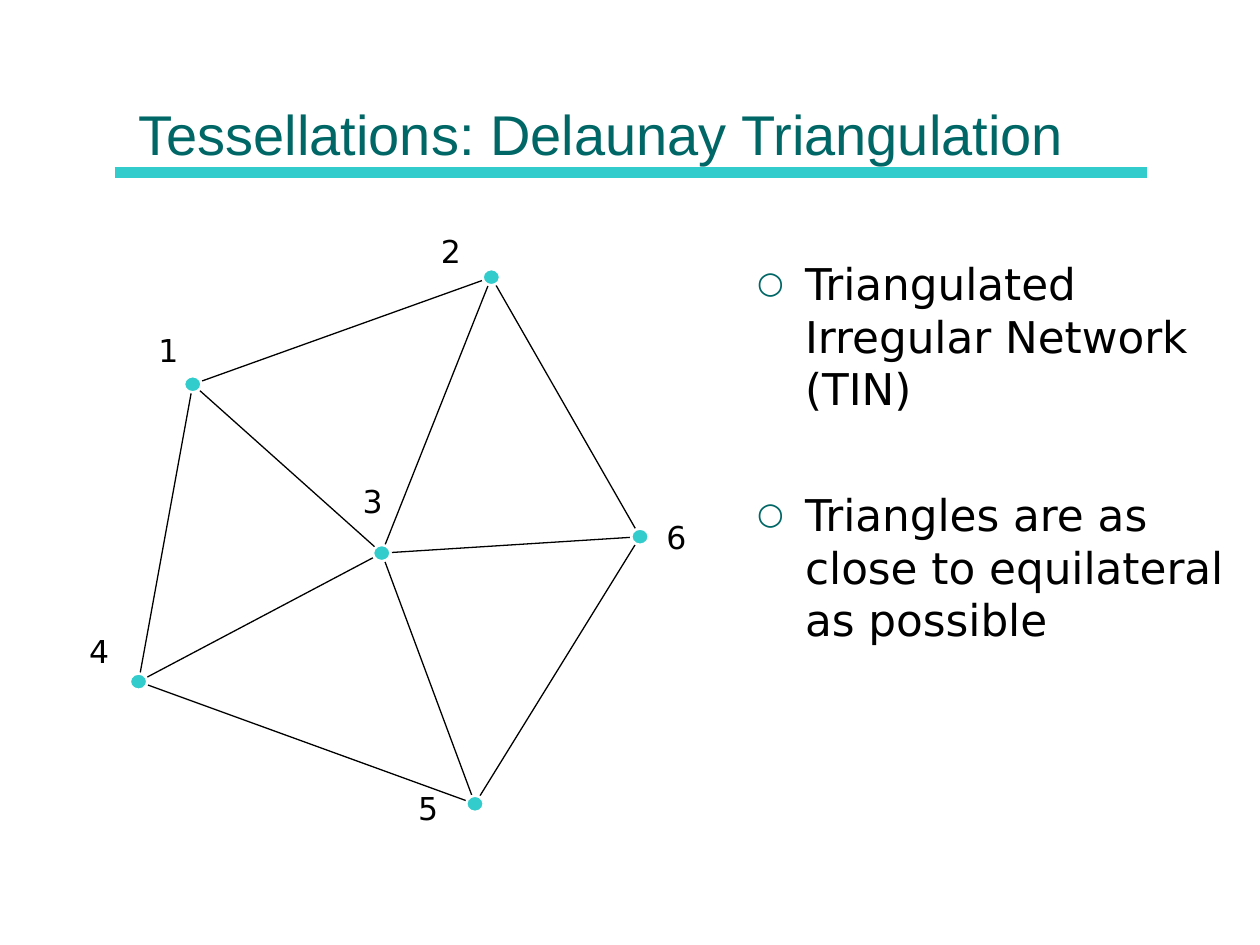
"""Builds a slide on Delaunay triangulation: a six-point network beside two bullets."""
from lxml import etree
from pptx import Presentation
from pptx import util as u
from pptx.dml.color import RGBColor
from pptx.enum import shapes, text
from pptx.oxml import ns

COLORS = {"teal": "006666", "aqua": "33CCCC", "black": "000000", "white": "FFFFFF"}


def write(paragraph, words, size, color="black", font="DejaVu Sans", before=0, bullet=None):
    paragraph.alignment = text.PP_ALIGN.LEFT
    paragraph.space_before = u.Pt(before)
    if bullet:
        props = paragraph._p.get_or_add_pPr()
        props.set("marL", str(u.Inches(0.38)))
        props.set("indent", str(u.Inches(-0.38)))
        tint = etree.SubElement(props, ns.qn("a:buClr"))
        etree.SubElement(tint, ns.qn("a:srgbClr"), val=COLORS["teal"])
        etree.SubElement(props, ns.qn("a:buSzPct"), val="70000")
        etree.SubElement(props, ns.qn("a:buFont"), typeface=font)
        etree.SubElement(props, ns.qn("a:buChar"), char=bullet)
    run = paragraph.add_run()
    run.text = words
    run.font.name = font
    run.font.size = u.Pt(size)
    run.font.color.rgb = RGBColor.from_string(COLORS[color])


def draw_line(slide, start, end, color, width):
    line = slide.shapes.add_connector(
        shapes.MSO_CONNECTOR.STRAIGHT, *[u.Inches(v) for v in (*start, *end)])
    line.line.color.rgb = RGBColor.from_string(COLORS[color])
    line.line.width = u.Pt(width)
    etree.SubElement(line._element.spPr, ns.qn("a:effectLst"))


deck = Presentation()
deck.slide_width, deck.slide_height = u.Inches(10), u.Inches(7.5)
slide = deck.slides.add_slide(deck.slide_layouts[1])

draw_line(slide, (0.91, 1.37), (9.1, 1.37), "aqua", 6)

heading = slide.shapes.title
heading.left, heading.top, heading.width, heading.height = [
    u.Inches(v) for v in (1, 0.12, 8, 1.25)]
heading.text_frame.vertical_anchor = text.MSO_ANCHOR.BOTTOM
heading.text_frame.auto_size = text.MSO_AUTO_SIZE.NONE
write(heading.text_frame.paragraphs[0], "Tessellations: Delaunay Triangulation",
      size=32, color="teal", font="Arial")

points = slide.placeholders[1]
points.left, points.top, points.width, points.height = [
    u.Inches(v) for v in (5.91, 1.99, 3.92, 4.5)]
points.text_frame.auto_size = text.MSO_AUTO_SIZE.NONE
write(points.text_frame.paragraphs[0], "Triangulated Irregular Network (TIN)",
      size=25, bullet="○")
write(points.text_frame.add_paragraph(), "Triangles are as close to equilateral as possible",
      size=25, before=42, bullet="○")

nodes = {1: (1.53, 3.05), 2: (3.9, 2.2), 3: (3.03, 4.39),
         4: (1.1, 5.41), 5: (3.77, 6.38), 6: (5.08, 4.26)}
labels = {1: (1.16, 2.58), 2: (3.4, 1.79), 3: (2.78, 3.78),
          4: (0.61, 4.97), 5: (3.22, 6.21), 6: (5.19, 4.06)}
hub, rim = 3, [1, 2, 6, 5, 4]
edges = list(zip(rim, rim[1:] + rim[:1])) + [(hub, node) for node in rim]

for start, end in edges:
    draw_line(slide, nodes[start], nodes[end], "black", 0.75)

dot_width, dot_height = 0.14, 0.13
for x, y in nodes.values():
    dot = slide.shapes.add_shape(
        shapes.MSO_SHAPE.OVAL, u.Inches(x - dot_width / 2), u.Inches(y - dot_height / 2),
        u.Inches(dot_width), u.Inches(dot_height))
    dot.shadow.inherit = False
    dot.fill.solid()
    dot.fill.fore_color.rgb = RGBColor.from_string(COLORS["aqua"])
    dot.line.color.rgb = RGBColor.from_string(COLORS["white"])
    dot.line.width = u.Pt(1.5)

for number, (left, top) in labels.items():
    label = slide.shapes.add_textbox(
        u.Inches(left), u.Inches(top), u.Inches(0.34), u.Inches(0.4))
    label.text_frame.word_wrap = False
    label.text_frame.auto_size = text.MSO_AUTO_SIZE.SHAPE_TO_FIT_TEXT
    write(label.text_frame.paragraphs[0], str(number), size=18)

deck.save("out.pptx")
